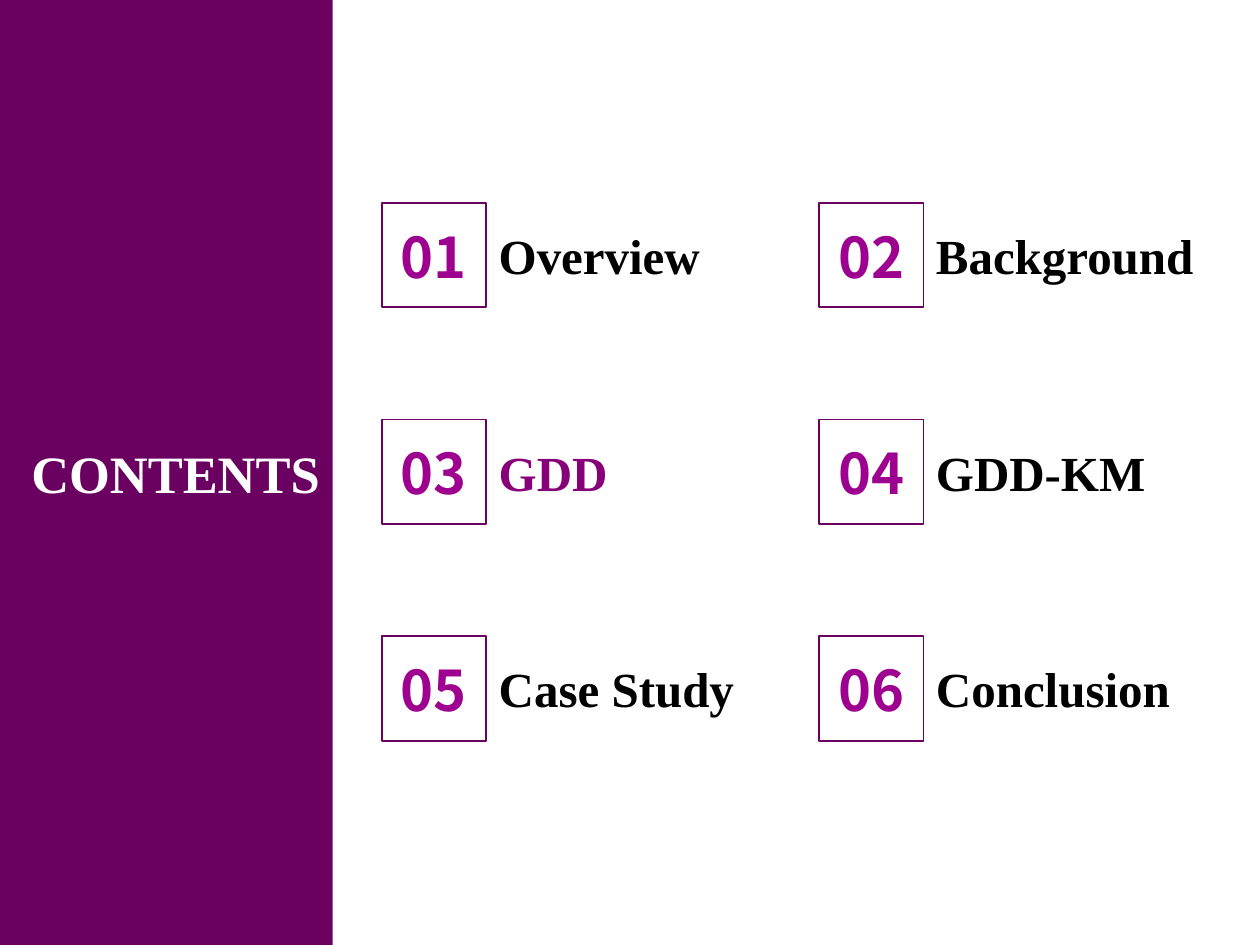
from pptx import Presentation
from pptx.dml.color import RGBColor
from pptx.enum.shapes import MSO_SHAPE
from pptx.enum.text import MSO_ANCHOR, MSO_AUTO_SIZE, PP_ALIGN
from pptx.util import Inches, Pt

RECT = MSO_SHAPE.RECTANGLE
TOP, MIDDLE = MSO_ANCHOR.TOP, MSO_ANCHOR.MIDDLE
LEFT, CENTER, RIGHT = PP_ALIGN.LEFT, PP_ALIGN.CENTER, PP_ALIGN.RIGHT
GROW = MSO_AUTO_SIZE.SHAPE_TO_FIT_TEXT

PURPLE = RGBColor(0x6A, 0x00, 0x5F)
NUMBER_PURPLE = RGBColor(0x9E, 0x00, 0x8F)
CURRENT_PURPLE = RGBColor(0x87, 0x00, 0x78)
WHITE = RGBColor(0xFF, 0xFF, 0xFF)
BLACK = RGBColor(0x00, 0x00, 0x00)

HEADING_FONT = {"name": "Times New Roman", "size": Pt(30), "bold": True}
TOPIC_FONT = {"name": "Times New Roman", "size": Pt(28), "bold": True}
NUMBER_FONT = {"name": "Noto Sans CJK SC", "size": Pt(32), "bold": True}

TOPICS = ["Overview", "Background", "GDD", "GDD-KM", "Case Study", "Conclusion"]
CURRENT = "GDD"
COLUMNS = 2


def write_text(sp, text, font, color, align=LEFT, anchor=TOP):
    """Put one formatted line of text into a shape."""
    tf = sp.text_frame
    frame = {"word_wrap": True, "auto_size": GROW, "vertical_anchor": anchor}
    for name, value in frame.items():
        setattr(tf, name, value)
    p = tf.paragraphs[0]
    p.alignment = align
    r = p.add_run()
    r.text = text
    for name, value in font.items():
        setattr(r.font, name, value)
    r.font.color.rgb = color


def add_side_panel(s, left, top, width, height):
    """Draw the coloured panel with the slide title on it."""
    panel = s.shapes.add_shape(RECT, left, top, width, height)
    panel.shadow.inherit = False
    panel.fill.solid()
    panel.fill.fore_color.rgb = PURPLE
    panel.line.fill.background()

    title = s.shapes.title
    title.element.addprevious(panel.element)
    box = {"left": left, "top": top + Inches(3.45), "width": width, "height": Inches(0.61)}
    for name, value in box.items():
        setattr(title, name, value)
    write_text(title, "CONTENTS", HEADING_FONT, WHITE, RIGHT)


def add_topic(s, left, top, size, number, topic):
    """Group a topic name with its number in a square frame."""
    group = s.shapes.add_group_shape().shapes
    name_box = group.add_textbox(left + size, top + Inches(0.13), Inches(2.25), Inches(0.57))
    write_text(name_box, topic, TOPIC_FONT, CURRENT_PURPLE if topic == CURRENT else BLACK)

    number_box = group.add_textbox(left, top + Inches(0.1), size, Inches(0.64))
    write_text(number_box, f"{number:02d}", NUMBER_FONT, NUMBER_PURPLE, CENTER, MIDDLE)

    square = group.add_shape(RECT, left, top, size, size)
    square.shadow.inherit = False
    square.fill.background()
    square.line.color.rgb = PURPLE
    square.line.width = Pt(1)


def add_topic_grid(s, left, top, column_step, row_step):
    """Lay the topics out row by row."""
    for i, topic in enumerate(TOPICS):
        row, column = divmod(i, COLUMNS)
        add_topic(s, left + column * column_step, top + row * row_step,
                  Inches(0.83), i + 1, topic)


def main():
    """Build and save the contents slide."""
    prs = Presentation()
    prs.slide_width, prs.slide_height = Inches(10), Inches(7.5)
    s = prs.slides.add_slide(prs.slide_layouts[5])
    add_side_panel(s, 0, 0, Inches(2.64), prs.slide_height)
    add_topic_grid(s, Inches(3.03), Inches(1.61), Inches(3.47), Inches(1.72))
    prs.save("out.pptx")


if __name__ == "__main__":
    main()
